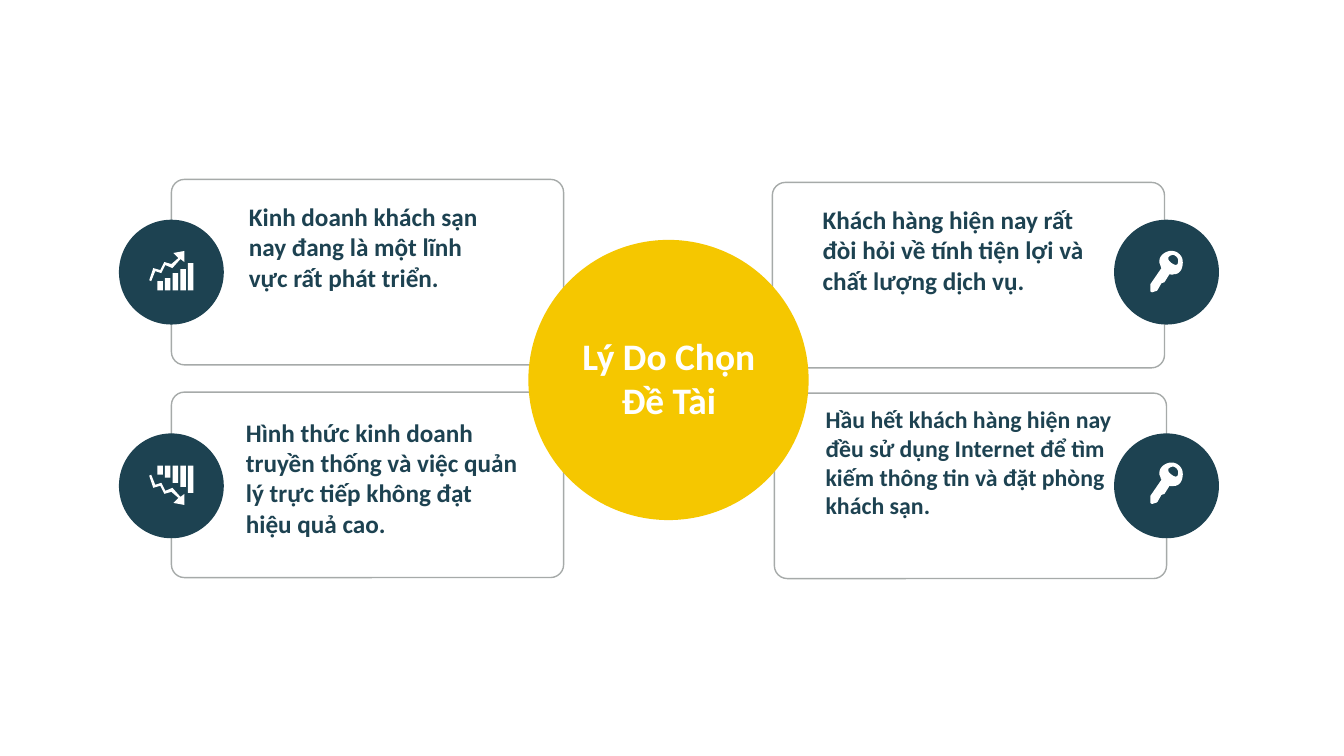
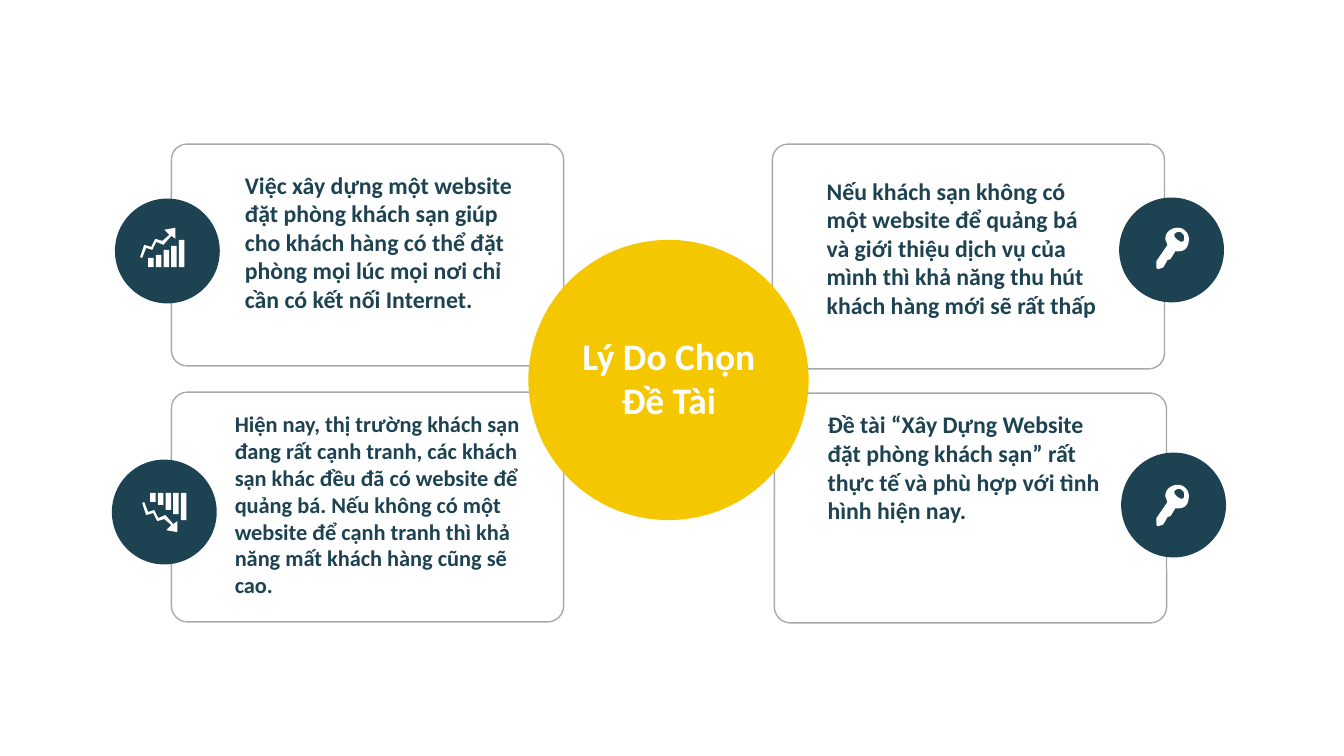
from dataclasses import dataclass

import pptx
import pptx.dml.color
import pptx.enum.shapes
import pptx.enum.text
import pptx.util

Inches = pptx.util.Inches
RGB = pptx.dml.color.RGBColor
SHAPE = pptx.enum.shapes.MSO_SHAPE
Point = tuple[float, float]
Box = tuple[float, float, float, float]


@dataclass(frozen=True)
class Theme:
    dark: RGB = RGB(0x1D, 0x42, 0x51)
    accent: RGB = RGB(0xF5, 0xC7, 0x00)
    white: RGB = RGB(0xFF, 0xFF, 0xFF)
    outline: RGB = RGB(0xA6, 0xAA, 0xA9)
    font: str = "Calibri"
    title: float = 26.7
    large: float = 18
    medium: float = 17
    small: float = 16


@dataclass(frozen=True)
class Reason:
    text: str
    size: float
    card: Box
    text_box: Box
    disc: Point
    icon: str
    icon_at: Point


THEME = Theme()
TITLE = "Lý Do Chọn Đề Tài"
HUB: Box = (5.24, 2.38, 2.78, 2.78)
TITLE_BOX: Box = (5.66, 3.4, 1.95, 0.69)
DISC = 1.04
LEFT, RIGHT_TOP, RIGHT_BOTTOM, CARD_W = 1.7, 7.66, 7.68, 3.89

SLIDES = [
    [
        Reason("Khách hàng hiện nay rất đòi hỏi về tính tiện lợi và chất lượng dịch vụ.",
               THEME.large, (RIGHT_TOP, 1.81, CARD_W, 1.84), (8.06, 1.98, 2.95, 1.01),
               (11.05, 2.18), "key", (11.41, 2.49)),
        Reason("Hầu hết khách hàng hiện nay đều sử dụng Internet để tìm kiếm thông tin "
               "và đặt phòng khách sạn.",
               THEME.medium, (RIGHT_BOTTOM, 3.9, CARD_W, 1.84), (8.09, 3.97, 3.04, 1.25),
               (11.05, 4.3), "key", (11.41, 4.59)),
        Reason("Hình thức kinh doanh truyền thống và việc quản lý trực tiếp không đạt "
               "hiệu quả cao.",
               THEME.large, (LEFT, 3.89, CARD_W, 1.84), (2.34, 4.09, 2.95, 1.31),
               (1.18, 4.3), "falling", (1.48, 4.62)),
        Reason("Kinh doanh khách sạn nay đang là một lĩnh vực rất phát triển.",
               THEME.large, (LEFT, 1.78, CARD_W, 1.84), (2.37, 1.95, 2.64, 1.01),
               (1.18, 2.18), "rising", (1.48, 2.49)),
    ],
    [
        Reason("Nếu khách sạn không có một website để quảng bá và giới thiệu dịch vụ của "
               "mình thì khả năng thu hút khách hàng mới sẽ rất thấp",
               THEME.medium, (RIGHT_TOP, 1.43, CARD_W, 2.23), (8.1, 1.7, 2.95, 1.53),
               (11.1, 1.96), "key", (11.47, 2.26)),
        Reason("Đề tài “Xây Dựng Website đặt phòng khách sạn” rất thực tế và phù hợp với "
               "tình hình hiện nay.",
               THEME.medium, (RIGHT_BOTTOM, 3.9, CARD_W, 2.28), (8.11, 4.02, 3.04, 1.25),
               (11.12, 4.49), "key", (11.47, 4.81)),
        Reason("Hiện nay, thị trường khách sạn đang rất cạnh tranh, các khách sạn khác "
               "đều đã có website để quảng bá. Nếu không có một website để cạnh tranh thì "
               "khả năng mất khách hàng cũng sẽ cao.",
               THEME.small, (LEFT, 3.89, CARD_W, 2.28), (2.23, 4.02, 3.32, 1.99),
               (1.11, 4.56), "falling", (1.41, 4.89)),
        Reason("Việc xây dựng một website đặt phòng khách sạn giúp cho khách hàng có thể "
               "đặt phòng mọi lúc mọi nơi chỉ cần có kết nối Internet.",
               THEME.medium, (LEFT, 1.43, CARD_W, 2.2), (2.33, 1.64, 2.99, 1.53),
               (1.14, 1.97), "rising", (1.39, 2.26)),
    ],
]

# Icon outlines are in hundredths of an inch; six numbers make a Bézier step.
CHART_H = 39
ARROW = [(16, 14), (23, 17), (31, 8), (35, 11), (35, 0), (24, 2), (29, 7), (22, 13),
         (15, 11), (11, 19), (4, 17), (0, 29), (2, 30), (6, 20), (12, 22)]
BAR_TOPS = [30, 27, 22, 18, 12]
BAR_X, BAR_STEP, BAR_W = 8, 7.6, 5.5
KEY_HOLE = [(27, 13), (25, 15, 23, 13, 21, 12), (19, 10, 17, 9, 18, 6),
            (20, 4, 23, 3, 25, 5), (28, 7, 28, 10, 27, 13)]
KEY_BODY = [(32, 9), (31, 3, 25, -1, 19, 0), (13, 1, 8, 6, 9, 12),
            (10, 13, 10, 16, 11, 17), (0, 33), (0, 34, 0, 35, 0, 36), (0, 40),
            (0, 40, 1, 41, 2, 41), (5, 40), (6, 40, 7, 39, 7, 39), (11, 32), (14, 31),
            (19, 23), (21, 24, 23, 23, 25, 23), (30, 22, 33, 16, 32, 9)]


def flatten(steps: list[tuple[float, ...]], pieces: int = 8) -> list[Point]:
    """Turn line and cubic Bézier steps into a list of points."""
    points: list[Point] = []
    for step in steps:
        if len(step) == 2:
            points.append(step)
            continue
        ctrl = [points[-1], step[:2], step[2:4], step[4:]]
        for i in range(1, pieces + 1):
            t = i / pieces
            weights = ((1 - t) ** 3, 3 * t * (1 - t) ** 2, 3 * t * t * (1 - t), t ** 3)
            points.append((sum(w * c[0] for w, c in zip(weights, ctrl)),
                           sum(w * c[1] for w, c in zip(weights, ctrl))))
    return points


def bar(i: int, top: float) -> list[Point]:
    x = BAR_X + i * BAR_STEP
    return [(x, top), (x + BAR_W, top), (x + BAR_W, CHART_H), (x, CHART_H)]


RISING = [ARROW] + [bar(i, top) for i, top in enumerate(BAR_TOPS)]
ICONS = {
    "rising": RISING,
    "falling": [[(x, CHART_H - y) for x, y in outline] for outline in RISING],
    "key": [flatten(KEY_BODY), flatten(KEY_HOLE)],
}


def add_shape(s, kind, box: Box, fill: RGB | None = None, line: RGB | None = None):
    sp = s.shapes.add_shape(kind, *map(Inches, box))
    paint(sp, fill, line)
    return sp


def paint(sp, fill: RGB | None, line: RGB | None = None) -> None:
    sp.shadow.inherit = False
    if fill is None:
        sp.fill.background()
    else:
        sp.fill.solid()
        sp.fill.fore_color.rgb = fill
    if line is None:
        sp.line.fill.background()
    else:
        sp.line.color.rgb = line
        sp.line.width = pptx.util.Pt(1)


def add_icon(s, name: str, at: Point) -> None:
    outlines = [[(x * 10, y * 10) for x, y in outline] for outline in ICONS[name]]
    builder = s.shapes.build_freeform(*outlines[0][0], scale=Inches(0.001))
    for i, outline in enumerate(outlines):
        if i:
            builder.move_to(*outline[0])
        builder.add_line_segments(outline[1:], close=True)
    paint(builder.convert_to_shape(*map(Inches, at)), THEME.white)


def add_run(p, text: str, size: float, color: RGB) -> None:
    r = p.add_run()
    r.text = text
    r.font.name = THEME.font
    r.font.size = pptx.util.Pt(size)
    r.font.bold = True
    r.font.color.rgb = color


def add_text(s, reason: Reason) -> None:
    tf = s.shapes.add_textbox(*map(Inches, reason.text_box)).text_frame
    tf.word_wrap = True
    tf.auto_size = pptx.enum.text.MSO_AUTO_SIZE.SHAPE_TO_FIT_TEXT
    add_run(tf.paragraphs[0], reason.text, reason.size, THEME.dark)


def place_title(s) -> None:
    """Set the title placeholder on top of the hub."""
    sp = s.shapes.title
    sp.left, sp.top, sp.width, sp.height = map(Inches, TITLE_BOX)
    sp.element.getparent().append(sp.element)
    tf = sp.text_frame
    tf.margin_left = tf.margin_top = tf.margin_right = tf.margin_bottom = 0
    tf.word_wrap = True
    tf.auto_size = pptx.enum.text.MSO_AUTO_SIZE.NONE
    tf.vertical_anchor = pptx.enum.text.MSO_ANCHOR.MIDDLE
    p = tf.paragraphs[0]
    p.alignment = pptx.enum.text.PP_ALIGN.CENTER
    add_run(p, TITLE, THEME.title, THEME.white)


def add_slide(prs, reasons: list[Reason]) -> None:
    s = prs.slides.add_slide(prs.slide_layouts[5])
    for reason in reasons:
        card = add_shape(s, SHAPE.ROUNDED_RECTANGLE, reason.card, line=THEME.outline)
        card.adjustments[0] = 0.07
    add_shape(s, SHAPE.OVAL, HUB, THEME.accent)
    place_title(s)
    for reason in reasons:
        add_shape(s, SHAPE.OVAL, (*reason.disc, DISC, DISC), THEME.dark)
        add_icon(s, reason.icon, reason.icon_at)
        add_text(s, reason)


def main() -> None:
    prs = pptx.Presentation()
    prs.slide_width, prs.slide_height = Inches(13.33), Inches(7.5)
    for reasons in SLIDES:
        add_slide(prs, reasons)
    prs.save("out.pptx")


if __name__ == "__main__":
    main()
